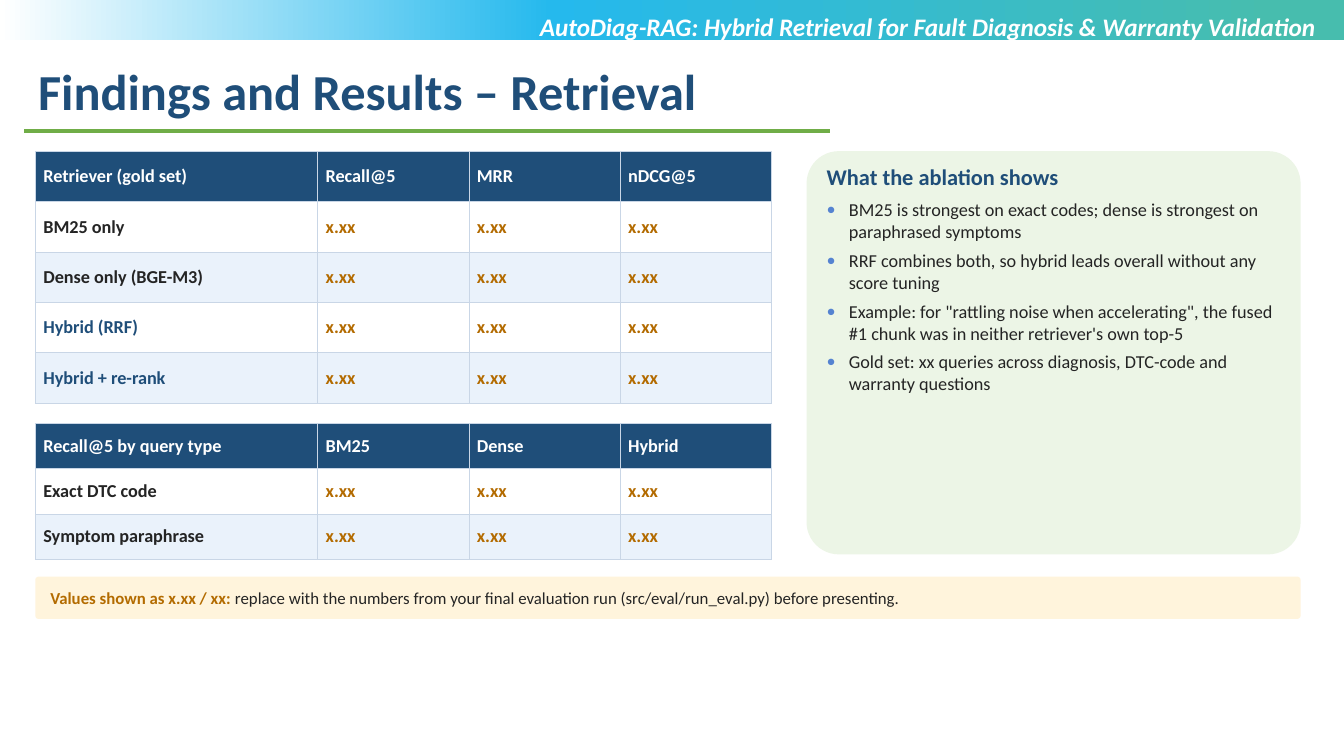
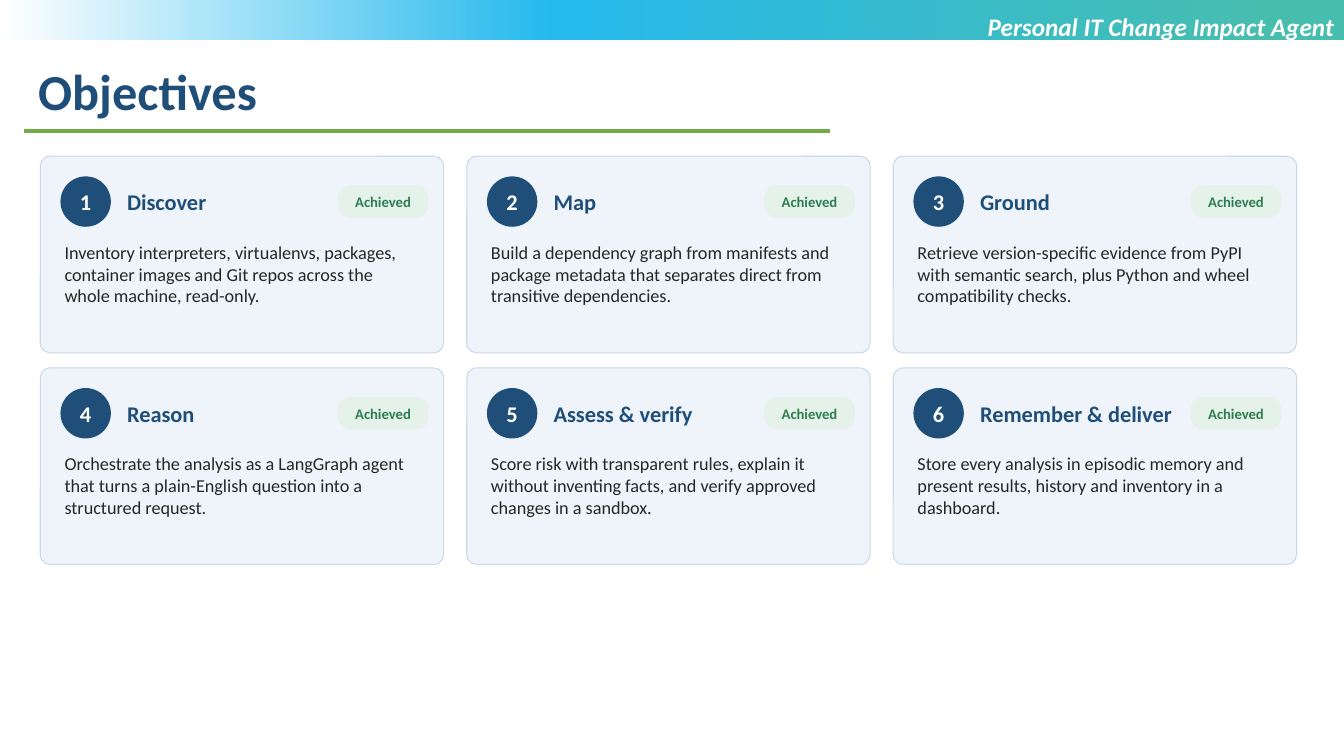
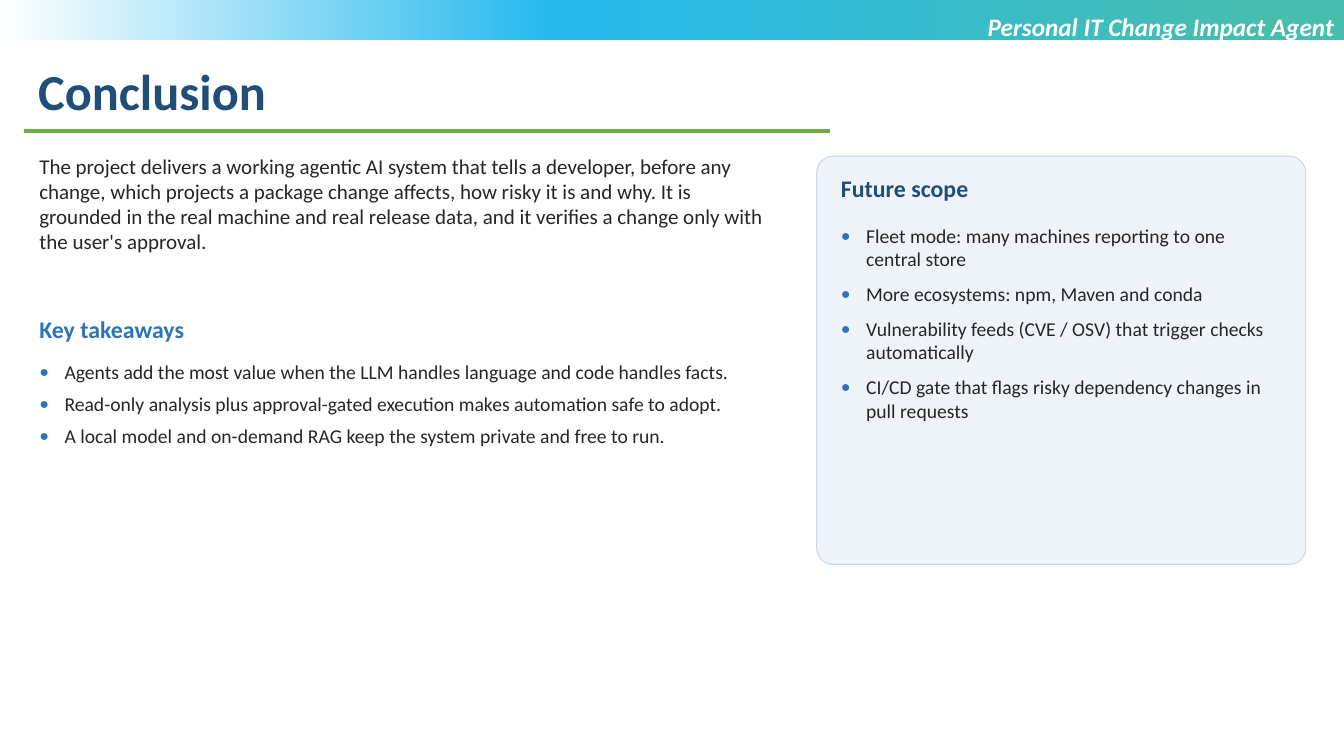
"""Builds three project slides: retrieval results, objectives and conclusion."""
from copy import deepcopy

from lxml import etree
from pptx import Presentation
from pptx import util as u
from pptx.dml.color import RGBColor
from pptx.enum import shapes, text
from pptx.oxml import parse_xml
from pptx.oxml.ns import nsdecls, qn

PX = 9144
NAVY, BLUE, AMBER, GREEN = "1F4E79", "2E75B6", "B36B00", "2E7D4F"
WHITE, INK, DARK, RULE = "FFFFFF", "242424", "262626", "70AD47"
PALE, EDGE, MINT, STRIPE, GRID = "EEF4FA", "C9D8EA", "E4F2EA", "EAF2FB", "C9D6E6"
FONT = "Calibri"
hue = RGBColor.from_string
KIND = shapes.MSO_SHAPE
LEFT, MID, RIGHT = text.PP_ALIGN.LEFT, text.PP_ALIGN.CENTER, text.PP_ALIGN.RIGHT
TOP, HALF = text.MSO_ANCHOR.TOP, text.MSO_ANCHOR.MIDDLE


def write(frame, words, size=13, color=DARK, bold=False, italic=False,
          align=LEFT, after=0, dot=None, hang=25, join=False):
    if frame.text and not join:
        para = frame.add_paragraph()
    else:
        para = frame.paragraphs[-1]
    para.alignment = align
    para.space_after = u.Pt(after)
    if dot:
        props = para._p.get_or_add_pPr()
        props.set("marL", str(hang * PX))
        props.set("indent", str(-hang * PX))
        tint = etree.SubElement(props, qn("a:buClr"))
        etree.SubElement(tint, qn("a:srgbClr"), val=dot)
        etree.SubElement(props, qn("a:buFont"), typeface=FONT)
        etree.SubElement(props, qn("a:buChar"), char="•")
    run = para.add_run()
    run.text = words
    font = run.font
    font.name, font.size, font.bold, font.italic = FONT, u.Pt(size), bold, italic
    font.color.rgb = hue(color)


def box(page, x, y, w, h, kind=None, fill=None, edge=None, bend=None,
        inset=(4, 2), anchor=TOP, grow=False):
    area = [n * PX for n in (x, y, w, h)]
    if kind is None:
        shape = page.shapes.add_textbox(*area)
    else:
        shape = page.shapes.add_shape(kind, *area)
        shape.shadow.inherit = False
        if fill:
            shape.fill.solid()
            shape.fill.fore_color.rgb = hue(fill)
        if edge:
            shape.line.color.rgb = hue(edge)
            shape.line.width = u.Pt(0.75)
        else:
            shape.line.fill.background()
        if bend:
            shape.adjustments[0] = bend
    frame = shape.text_frame
    frame.word_wrap = True
    frame.vertical_anchor = anchor
    frame.margin_left = frame.margin_right = inset[0] * PX
    frame.margin_top = frame.margin_bottom = inset[1] * PX
    if grow:
        frame.auto_size = text.MSO_AUTO_SIZE.SHAPE_TO_FIT_TEXT
    return shape


deck = Presentation()
deck.slide_width, deck.slide_height = 1333 * PX, 750 * PX
blank = deck.slide_layouts[6]

agent = ("Personal IT Change Impact Agent", 666, 667)
heads = [
    ("Findings and Results – Retrieval",
     ("AutoDiag-RAG: Hybrid Retrieval for Fault Diagnosis & Warranty Validation", 310, 1005)),
    ("Objectives", agent),
    ("Conclusion", agent),
]
pages = []
for title, (tag, x, w) in heads:
    page = deck.slides.add_slide(blank)
    pages.append(page)
    head = box(page, 28, 55, 1162, 71, inset=(10, 5), grow=True)
    write(head.text_frame, title, size=36, color=NAVY, bold=True)
    rule = page.shapes.add_connector(
        shapes.MSO_CONNECTOR.STRAIGHT, 24 * PX, 130 * PX, 823 * PX, 130 * PX)
    rule.line.color.rgb = hue(RULE)
    rule.line.width = u.Pt(2.25)
    etree.SubElement(rule._element.spPr, qn("a:effectLst"))
    label = box(page, x, 6, w, 71, inset=(10, 5), grow=True)
    write(label.text_frame, tag, size=18, color=WHITE, bold=True, italic=True, align=RIGHT)
found, goals, close = pages

band = box(found, 0, 0, 1333, 40, kind=KIND.RECTANGLE)
band.fill.gradient()
band.fill.gradient_angle = 180
stops = band._element.spPr.find(".//" + qn("a:gsLst"))
stops.append(deepcopy(stops[0]))
shades = [(0.05, "47BDAE"), (0.59, "25B9ED"), (1, WHITE)]
for stop, (place, shade) in zip(band.fill.gradient_stops, shades):
    stop.position = place
    stop.color.rgb = hue(shade)
blank.shapes.element.append(band._element)

tables = [
    (150, 50, ["Retriever (gold set)", "Recall@5", "MRR", "nDCG@5"],
     [("BM25 only", INK), ("Dense only (BGE-M3)", INK),
      ("Hybrid (RRF)", NAVY), ("Hybrid + re-rank", NAVY)]),
    (420, 45, ["Recall@5 by query type", "BM25", "Dense", "Hybrid"],
     [("Exact DTC code", INK), ("Symptom paraphrase", INK)]),
]
for y, step, top, names in tables:
    rows = [[(word, WHITE) for word in top]]
    rows += [[name] + [("x.xx", AMBER)] * 3 for name in names]
    grid = found.shapes.add_table(
        len(rows), 4, 35 * PX, y * PX, 730 * PX, step * len(rows) * PX).table
    for col, wide in zip(grid.columns, (280, 150, 150, 150)):
        col.width = wide * PX
    for r, row in enumerate(rows):
        grid.rows[r].height = step * PX
        for c, (word, color) in enumerate(row):
            cell = grid.cell(r, c)
            cell.fill.solid()
            cell.fill.fore_color.rgb = hue(NAVY if r == 0 else WHITE if r % 2 else STRIPE)
            cell.vertical_anchor = HALF
            cell.margin_left = cell.margin_right = 8 * PX
            cell.margin_top = cell.margin_bottom = 3 * PX
            write(cell.text_frame, word, color=color, bold=True)
            props = cell._tc.get_or_add_tcPr()
            for i, side in enumerate("LRTB"):
                props.insert(i, parse_xml(
                    f'<a:ln{side} {nsdecls("a")} w="6350"><a:solidFill>'
                    f'<a:srgbClr val="{GRID}"/></a:solidFill></a:ln{side}>'))

box(found, 800, 150, 490, 400, kind=KIND.ROUNDED_RECTANGLE, fill="ECF5E6", bend=0.08)
notes = box(found, 820, 162, 450, 380, inset=(0, 0), grow=True).text_frame
write(notes, "What the ablation shows", size=16, color=NAVY, bold=True, after=6)
for point in (
    "BM25 is strongest on exact codes; dense is strongest on paraphrased symptoms",
    "RRF combines both, so hybrid leads overall without any score tuning",
    "Example: for \"rattling noise when accelerating\", the fused #1 chunk was in "
    "neither retriever's own top-5",
    "Gold set: xx queries across diagnosis, DTC-code and warranty questions",
):
    write(notes, point, color=INK, after=5, dot="5583D1", hang=22)

box(found, 35, 572, 1255, 42, kind=KIND.ROUNDED_RECTANGLE, fill="FFF4DC", bend=0.08)
hint = box(found, 50, 575, 1230, 36, inset=(0, 0), anchor=HALF, grow=True).text_frame
write(hint, "Values shown as x.xx / xx: ", size=12, color=AMBER, bold=True, after=4)
write(hint, "replace with the numbers from your final evaluation run "
      "(src/eval/run_eval.py) before presenting.", size=12, color=INK, after=4, join=True)

cards = [
    ("Discover", "Inventory interpreters, virtualenvs, packages, container images and Git "
     "repos across the whole machine, read-only."),
    ("Map", "Build a dependency graph from manifests and package metadata that "
     "separates direct from transitive dependencies."),
    ("Ground", "Retrieve version-specific evidence from PyPI with semantic search, "
     "plus Python and wheel compatibility checks."),
    ("Reason", "Orchestrate the analysis as a LangGraph agent that turns a "
     "plain-English question into a structured request."),
    ("Assess & verify", "Score risk with transparent rules, explain it without "
     "inventing facts, and verify approved changes in a sandbox."),
    ("Remember & deliver", "Store every analysis in episodic memory and present "
     "results, history and inventory in a dashboard."),
]
for i, (name, body) in enumerate(cards):
    x, y = 40 + i % 3 * 423, 155 + i // 3 * 210
    box(goals, x, y, 400, 195, kind=KIND.ROUNDED_RECTANGLE, fill=PALE, edge=EDGE, bend=0.05)
    disc = box(goals, x + 20, y + 20, 50, 50, kind=KIND.OVAL, fill=NAVY,
               inset=(0, 5), anchor=HALF)
    write(disc.text_frame, str(i + 1), size=16, color=WHITE, bold=True, align=MID)
    head = box(goals, x + 82, y + 20, 215, 50, anchor=HALF)
    write(head.text_frame, name, size=16, color=NAVY, bold=True, after=4)
    pill = box(goals, x + 295, y + 29, 90, 32, kind=KIND.ROUNDED_RECTANGLE, fill=MINT,
               bend=0.4, inset=(0, 5), anchor=HALF)
    write(pill.text_frame, "Achieved", size=10.5, color=GREEN, bold=True, align=MID)
    write(box(goals, x + 20, y + 82, 360, 105).text_frame, body, after=4)

write(box(close, 35, 150, 740, 150).text_frame,
      "The project delivers a working agentic AI system that tells a developer, before "
      "any change, which projects a package change affects, how risky it is and why. It "
      "is grounded in the real machine and real release data, and it verifies a change "
      "only with the user's approval.", size=15, after=4)
box(close, 810, 155, 485, 405, kind=KIND.ROUNDED_RECTANGLE, fill=PALE, edge=EDGE, bend=0.04)
lists = [
    ("Key takeaways", BLUE, (35, 310, 740, 40), (35, 355, 740, 205), 6, [
        "Agents add the most value when the LLM handles language and code handles facts.",
        "Read-only analysis plus approval-gated execution makes automation safe to adopt.",
        "A local model and on-demand RAG keep the system private and free to run."]),
    ("Future scope", NAVY, (830, 170, 445, 40), (830, 220, 445, 330), 8, [
        "Fleet mode: many machines reporting to one central store",
        "More ecosystems: npm, Maven and conda",
        "Vulnerability feeds (CVE / OSV) that trigger checks automatically",
        "CI/CD gate that flags risky dependency changes in pull requests"]),
]
for name, color, top, area, gap, points in lists:
    write(box(close, *top).text_frame, name, size=17, color=color, bold=True, after=4)
    frame = box(close, *area).text_frame
    for point in points:
        write(frame, point, size=14, after=gap, dot=BLUE)

deck.save("out.pptx")
